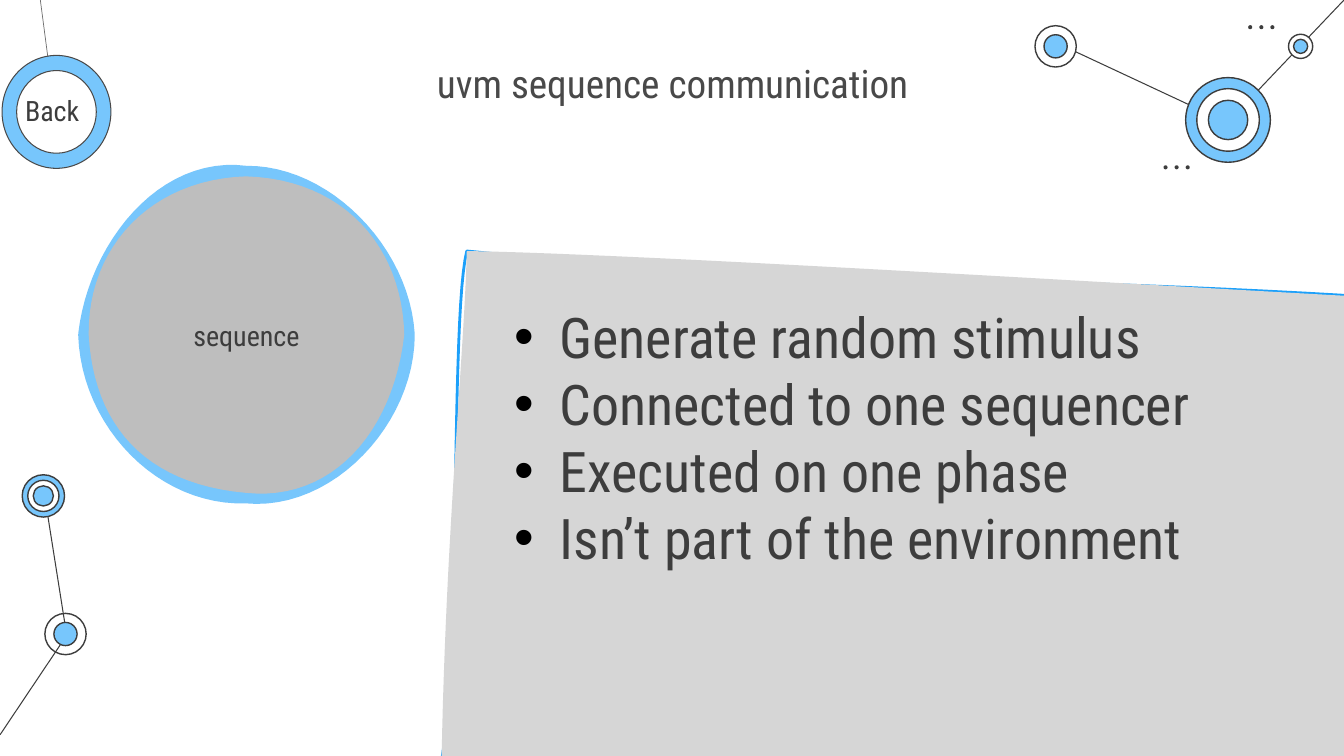
from dataclasses import dataclass
from typing import Optional

from lxml.etree import SubElement
from pptx import Presentation
from pptx.dml.color import RGBColor as RGB
from pptx.enum.text import MSO_ANCHOR as ANCHOR, MSO_AUTO_SIZE as AUTO, PP_ALIGN as ALIGN
from pptx.enum.shapes import MSO_CONNECTOR as CONN, MSO_SHAPE as SHAPE
from pptx.oxml.ns import qn
from pptx.util import Inches, Pt

COLORS = {"ink": "3D3D3D", "title": "494949", "blue": "77C6FC", "white": "FFFFFF",
          "disc": "BEBEBE", "panel": "D6D6D6", "edge": "1CA0FA", "stem": "6D6D6D",
          "bullet": "000000"}
FONT = "Roboto Condensed"
INDENT = Inches(0.45)

Point = tuple[float, float]
Curve = tuple[Point, Point, Point]


@dataclass
class Link:
    start: Point
    end: Point
    color: str = "ink"
    width: float = 0.75


@dataclass
class Ring:
    width: float
    height: float
    fill: Optional[str]


@dataclass
class Node:
    center: Point
    rings: list[Ring]
    line: Optional[str] = "ink"
    weight: float = 1


@dataclass
class Blob:
    start: Point
    edge: list[Curve]
    body: list[Curve]
    fill: str
    line: str
    weight: float


def rings(*layers: tuple[float, Optional[str]]) -> list[Ring]:
    return [Ring(size, size, fill) for size, fill in layers]


LINKS = [Link((0.66, 6.29), (0.44, 4.9)), Link((0, 7.29), (0.65, 6.32)),
         Link((12.18, 1.22), (10.49, 0.43)), Link((13.33, 0), (12.18, 1.21)),
         Link((0.4, 0), (0.52, 0.91), "stem", 0.5)]

NODES = [
    Node((0.65, 6.29), rings((0.41, None), (0.23, "blue"))),
    Node((0.43, 4.92), rings((0.42, "blue"), (0.31, "white"), (0.2, "blue"))),
    Node((12.18, 1.19), rings((0.84, "blue"), (0.62, "white"), (0.39, "blue"))),
    Node((10.47, 0.46), rings((0.41, "white"), (0.23, "blue"))),
    Node((12.9, 0.46), rings((0.24, "white"), (0.14, "blue"))),
    Node((0.56, 1.11), [Ring(1.08, 1.12, "blue"), Ring(0.79, 0.82, "white")], "title", 0.75),
]
DOT_ROWS = [(12.4, 0.27), (11.56, 1.66)]
DOT_GAP = 0.11

DISC = Blob((0.88, 3.32),
            [((0.98, 2.47), (1.64, 1.64), (2.44, 1.75)),
             ((3.21, 1.74), (3.96, 2.51), (4.01, 3.32)),
             ((4.01, 4.14), (3.25, 4.97), (2.44, 4.89)),
             ((1.64, 4.92), (0.91, 4.19), (0.88, 3.32))],
            [((0.87, 2.45), (1.5, 1.78), (2.44, 1.75)),
             ((3.42, 1.78), (3.99, 2.46), (4.01, 3.32)),
             ((3.9, 4.29), (3.29, 4.98), (2.44, 4.89)),
             ((1.43, 4.8), (0.93, 4.21), (0.88, 3.32))],
            "disc", "blue", 15)
PANEL = Blob((4.63, 2.49),
             [((7.66, 2.8), (10.29, 2.73), (13.82, 2.96)),
              ((13.68, 4.91), (13.65, 6.79), (13.56, 8.01)),
              ((11.72, 7.78), (8.86, 7.63), (4.38, 7.55)),
              ((4.57, 6.45), (4.47, 3.14), (4.63, 2.49))],
             [((6.41, 2.52), (11.88, 2.86), (13.82, 2.96)),
              ((13.55, 5.25), (13.68, 6.25), (13.56, 8.01)),
              ((10.85, 7.75), (7.12, 7.65), (4.38, 7.55)),
              ((4.42, 5.31), (4.61, 3.44), (4.63, 2.49))],
             "panel", "edge", 2)
BULLETS = ["Generate random stimulus", "Connected to one sequencer",
           "Executed on one phase", "Isn’t part of the environment"]


def rgb(name: str) -> RGB:
    return RGB.from_string(COLORS[name])


def assign(target, formats: dict) -> None:
    for name, value in formats.items():
        setattr(target, name, value)


def paint(sp, fill: Optional[str], line: Optional[str], weight: float = 1) -> None:
    sp.shadow.inherit = False
    if fill:
        sp.fill.solid()
        sp.fill.fore_color.rgb = rgb(fill)
    else:
        sp.fill.background()
    if line:
        sp.line.color.rgb = rgb(line)
        sp.line.width = Pt(weight)
    else:
        sp.line.fill.background()


def place(sp, left: float, top: float, width: float, height: float) -> None:
    assign(sp, {"left": Inches(left), "top": Inches(top),
                "width": Inches(width), "height": Inches(height)})


def write(p, text: str, size: float, color: str = "ink", align=ALIGN.LEFT) -> None:
    assign(p, {"alignment": align, "line_spacing": 1.0, "space_before": Pt(0)})
    r = p.add_run()
    r.text = text
    assign(r.font, {"name": FONT, "size": Pt(size)})
    r.font.color.rgb = rgb(color)


def add_bullet(p) -> None:
    pPr = p._p.get_or_add_pPr()
    pPr.set("marL", str(INDENT))
    pPr.set("indent", str(-INDENT))
    SubElement(SubElement(pPr, qn("a:buClr")), qn("a:srgbClr"), val=COLORS["bullet"])
    SubElement(pPr, qn("a:buFont"), typeface="Arial")
    SubElement(pPr, qn("a:buChar"), char="•")


def draw_link(s, link: Link) -> None:
    ends = [Inches(v) for v in (*link.start, *link.end)]
    cx = s.shapes.add_connector(CONN.STRAIGHT, *ends)
    cx.line.color.rgb = rgb(link.color)
    cx.line.width = Pt(link.width)
    SubElement(cx._element.spPr, qn("a:effectLst"))


def draw_node(s, node: Node) -> None:
    x, y = node.center
    for ring in node.rings:
        sp = s.shapes.add_shape(SHAPE.OVAL, Inches(x - ring.width / 2), Inches(y - ring.height / 2),
                                Inches(ring.width), Inches(ring.height))
        paint(sp, ring.fill, node.line, node.weight)


def trace(start: Point, curves: list[Curve], steps: int = 24) -> list[Point]:
    """Points along a chain of cubic curves."""
    points = []
    for c1, c2, end in curves:
        for i in range(1, steps + 1):
            t = i / steps
            u = 1 - t
            points.append(tuple(u**3 * a + 3 * u * u * t * b + 3 * u * t * t * c + t**3 * d
                                for a, b, c, d in zip(start, c1, c2, end)))
        start = end
    return points


def draw_blob(s, blob: Blob):
    """Draw the uneven edge, then the filled body over it."""
    for curves, fill, line in ((blob.edge, None, blob.line), (blob.body, blob.fill, None)):
        points = [(Inches(x), Inches(y)) for x, y in trace(blob.start, curves)]
        fb = s.shapes.build_freeform(*points[-1])
        fb.add_line_segments(points[:-1], close=True)
        sp = fb.convert_to_shape()
        paint(sp, fill, line, blob.weight)
    return sp


def main() -> None:
    prs = Presentation()
    assign(prs, {"slide_width": Inches(13.33), "slide_height": Inches(7.5)})
    s = prs.slides.add_slide(prs.slide_layouts[1])

    # Network decoration and the Back button
    for link in LINKS:
        draw_link(s, link)
    dots = [Node((x + i * DOT_GAP, y), rings((0.04, "ink")), None)
            for x, y in DOT_ROWS for i in range(3)]
    for node in NODES + dots:
        draw_node(s, node)
    back = s.shapes.add_textbox(Inches(0.15), Inches(0.88), Inches(0.74), Inches(0.44))
    back.text_frame.word_wrap = False
    write(back.text_frame.paragraphs[0], "Back", 20)

    # Title
    title = s.shapes.title
    place(title, 3.69, 0.49, 5.96, 0.84)
    margins = {f"margin_{side}": Inches(0.1) for side in ("left", "top", "right", "bottom")}
    assign(title.text_frame, {**margins, "vertical_anchor": ANCHOR.TOP, "auto_size": AUTO.NONE})
    write(title.text_frame.paragraphs[0], "uvm sequence communication", 28, "title", ALIGN.CENTER)

    # Sequence disc
    disc = draw_blob(s, DISC)
    assign(disc.text_frame, {"vertical_anchor": ANCHOR.MIDDLE, "word_wrap": True})
    write(disc.text_frame.paragraphs[0], "sequence", 20, align=ALIGN.CENTER)

    # Panel with the list on top
    draw_blob(s, PANEL)
    body = s.placeholders[1]
    place(body, 5, 2.95, 7.91, 2.79)
    s.shapes.element.append(body.element)
    tf = body.text_frame
    assign(tf, {"vertical_anchor": ANCHOR.TOP, "auto_size": AUTO.NONE, "word_wrap": True})
    for i, text in enumerate(BULLETS):
        p = tf.add_paragraph() if i else tf.paragraphs[0]
        add_bullet(p)
        write(p, text, 40)

    prs.save("out.pptx")


if __name__ == "__main__":
    main()
